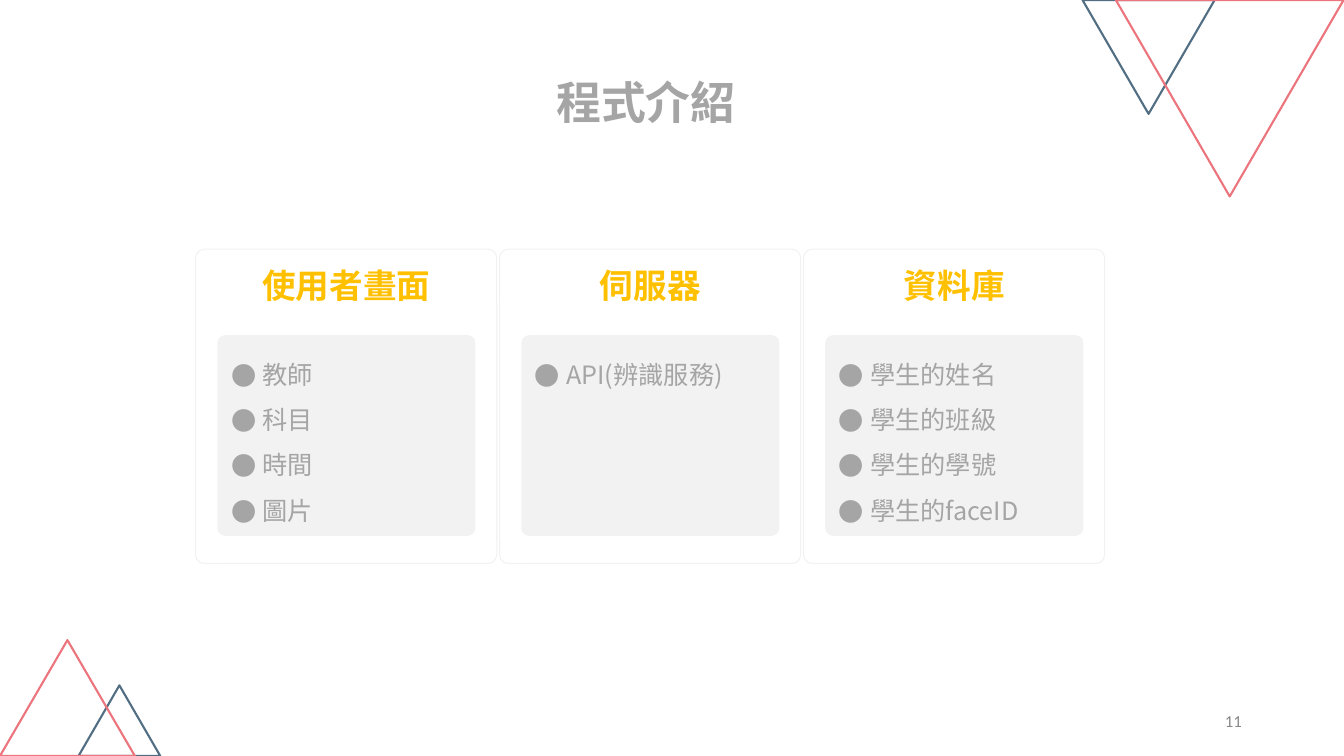
import pptx
import pptx.util
import pptx.dml.color
import pptx.enum.shapes
import pptx.enum.text
import pptx.oxml.ns
import lxml.etree

Cm = pptx.util.Cm
Pt = pptx.util.Pt
SHAPE = pptx.enum.shapes.MSO_SHAPE
ALIGN = pptx.enum.text.PP_ALIGN
ANCHOR = pptx.enum.text.MSO_ANCHOR
qn = pptx.oxml.ns.qn

CJK = "Noto Sans CJK SC"
GRAY, PALE, GOLD = "A5A5A5", "F2F2F2", "FFC000"
NAVY, ROSE = "526E83", "EC747D"


def paint(target, color):
    """Give a font, or a fill, one solid colour."""
    if hasattr(target, "solid"):
        target.solid()
        target.fore_color.rgb = pptx.dml.color.RGBColor.from_string(color)
    else:
        target.color.rgb = pptx.dml.color.RGBColor.from_string(color)


def style(frame, size, color, align, bold=False, name=CJK):
    """Format every run of a text frame, East Asian font included."""
    for para in frame.paragraphs:
        para.alignment = align
        for run in para.runs:
            run.font.size = Pt(size)
            run.font.bold = bold
            run.font.name = name
            paint(run.font, color)
            east = lxml.etree.Element(qn("a:ea"), typeface=name)
            run.font._element.find(qn("a:latin")).addnext(east)


deck = pptx.Presentation()
deck.slide_width = Cm(33.87)
deck.slide_height = Cm(19.05)
slide = deck.slides.add_slide(deck.slide_layouts[5])
shapes = slide.shapes

# Title
title = shapes.title
title.left, title.top = Cm(4.85), Cm(1.6)
title.width, title.height = Cm(22.86), Cm(1.78)
title.text_frame.text = "程式介紹"
title.text_frame.vertical_anchor = ANCHOR.BOTTOM
title.text_frame.paragraphs[0].line_spacing = 0.9
style(title.text_frame, 32, GRAY, ALIGN.CENTER, bold=True)

# Corner triangles
corners = [
    (27.28, 0, 3.33, 2.87, 180, NAVY),
    (28.12, 0, 5.74, 4.95, 180, ROSE),
    (1.98, 17.27, 2.06, 1.78, 0, NAVY),
    (0, 16.13, 3.4, 2.92, 0, ROSE),
]
for left, top, width, height, turn, color in corners:
    corner = shapes.add_shape(SHAPE.ISOSCELES_TRIANGLE, Cm(left), Cm(top), Cm(width), Cm(height))
    corner.rotation = turn
    corner.shadow.inherit = False
    corner.fill.background()
    paint(corner.line.fill, color)
    corner.line.width = Pt(1.5)

# Three cards: frame, heading and bullet panel
cards = [
    ("使用者畫面", ["教師", "科目", "時間", "圖片"]),
    ("伺服器", ["API(辨識服務)"]),
    ("資料庫", ["學生的姓名", "學生的班級", "學生的學號", "學生的faceID"]),
]
for index, (label, items) in enumerate(cards):
    left = 4.93 + 7.66 * index
    inner = left + 0.6

    head = shapes.add_textbox(Cm(inner), Cm(6.48), Cm(6.4), Cm(1.42))
    head.text_frame.word_wrap = True
    head.text_frame.text = label
    # Inset of a rounded shape's text area
    head.text_frame.margin_top = Cm(0.2)
    style(head.text_frame, 24, GOLD, ALIGN.CENTER, bold=True)

    panel = shapes.add_shape(SHAPE.ROUNDED_RECTANGLE, Cm(inner), Cm(8.5), Cm(6.4), Cm(4.95))
    panel.adjustments[0] = 0.03
    panel.shadow.inherit = False
    paint(panel.fill, PALE)
    paint(panel.line.fill, PALE)
    panel.line.width = Pt(3)
    body = panel.text_frame
    body.word_wrap = True
    body.vertical_anchor = ANCHOR.TOP
    body.text = "\n".join(items)
    for para in body.paragraphs:
        para.line_spacing = 1.5
        props = para._p.get_or_add_pPr()
        props.set("marL", str(Cm(0.79)))
        props.set("indent", str(-Cm(0.79)))
        tint = lxml.etree.SubElement(props, qn("a:buClr"))
        lxml.etree.SubElement(tint, qn("a:srgbClr"), val=GRAY)
        lxml.etree.SubElement(props, qn("a:buFont"), typeface=CJK)
        lxml.etree.SubElement(props, qn("a:buChar"), char="●")
    style(body, 18, GRAY, ALIGN.LEFT)

    frame = shapes.add_shape(SHAPE.ROUNDED_RECTANGLE, Cm(left), Cm(6.28), Cm(7.59), Cm(7.92))
    frame.adjustments[0] = 0.029
    frame.shadow.inherit = False
    frame.fill.background()
    paint(frame.line.fill, PALE)
    frame.line.width = Pt(0.75)

# Page number
page = shapes.add_textbox(Cm(23.93), Cm(17.65), Cm(7.62), Cm(1.02))
page.text_frame.word_wrap = True
page.text_frame.vertical_anchor = ANCHOR.MIDDLE
page.text_frame.text = "11"
style(page.text_frame, 12, "888888", ALIGN.RIGHT, name="Calibri")

deck.save("out.pptx")
